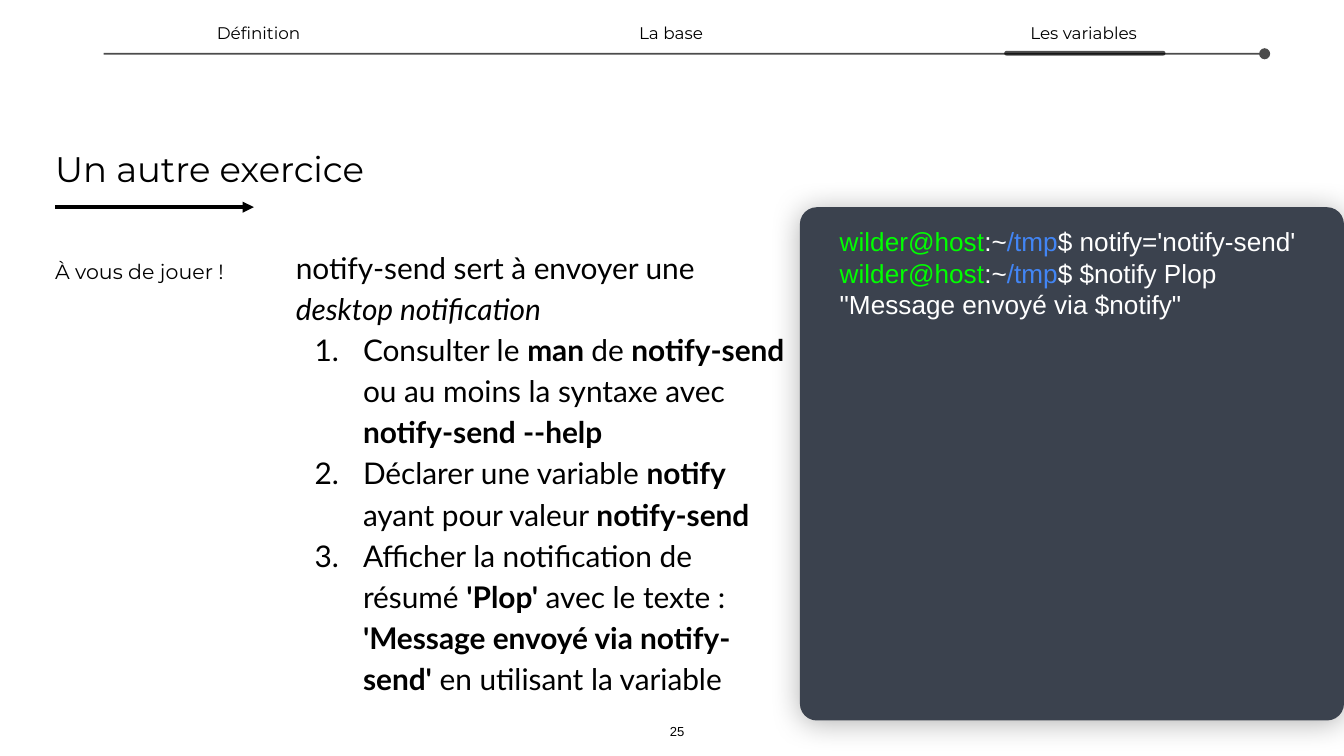
"""Build the shell exercise slide on variables."""
from itertools import cycle

from lxml.etree import SubElement as Sub
from pptx import Presentation
from pptx.dml.color import RGBColor
from pptx.enum.shapes import MSO_CONNECTOR as Conn, MSO_SHAPE as Kind
from pptx.enum.text import MSO_ANCHOR as Anchor, MSO_AUTO_SIZE as Fit, PP_ALIGN as Align
from pptx.oxml.ns import qn
from pptx.util import Pt

BLACK, WHITE, SLATE = "000000", "FFFFFF", "3B424E"
GREEN, BLUE = "00FF00", "4285F4"
MONT, LATO, ARIAL = "Montserrat", "Lato", "Arial"


def tint(fmt, code):
    fmt.rgb = RGBColor.from_string(code)


def fade(node, share):
    for clr in node.iter(qn("a:srgbClr")):
        Sub(clr, qn("a:alpha"), val=str(share * 1000))


def apply(item, vals):
    for name, val in vals.items():
        setattr(item, name, val)


class Deck:
    def __init__(self, wide, high):
        self.prs = Presentation()
        apply(self.prs, {"slide_width": Pt(wide), "slide_height": Pt(high)})
        self.slide = self.prs.slides.add_slide(self.prs.slide_layouts[5])
        self.shapes = self.slide.shapes
        back = self.slide.background.fill
        back.solid()
        tint(back.fore_color, WHITE)

    def frame(self, shape, pads, anchor=Anchor.MIDDLE):
        left, top, right, base = map(Pt, pads)
        apply(shape.text_frame, {
            "word_wrap": True, "auto_size": Fit.NONE, "vertical_anchor": anchor,
            "margin_left": left, "margin_top": top,
            "margin_right": right, "margin_bottom": base})
        return shape.text_frame

    def fill(self, para, runs, size, face, align=Align.LEFT, space=1.0):
        apply(para, {"alignment": align, "line_spacing": space})
        for text, look in runs:
            run = para.add_run()
            run.text = text
            vals = {"size": Pt(size), "name": face, "bold": False, "italic": False}
            code = look.get("code", BLACK)
            apply(run.font, vals | {k: v for k, v in look.items() if k != "code"})
            tint(run.font.color, code)

    def title(self, text, box, size):
        shape = self.shapes.title
        apply(shape, dict(zip(("left", "top", "width", "height"), map(Pt, box))))
        frame = self.frame(shape, [1.5] * 4)
        self.fill(frame.paragraphs[0], [(text, {})], size, MONT)

    def label(self, text, box, size, face=MONT, align=Align.CENTER, anchor=Anchor.MIDDLE):
        shape = self.shapes.add_textbox(*map(Pt, box))
        frame = self.frame(shape, [1.5] * 4, anchor)
        self.fill(frame.paragraphs[0], [(text, {})], size, face, align)

    def steps(self, intro, items, box, size):
        frame = self.frame(self.shapes.add_textbox(*map(Pt, box)), [3] * 4)
        self.fill(frame.paragraphs[0], intro, size, LATO, space=1.15)
        for item in items:
            para = frame.add_paragraph()
            runs = [(text, {"bold": bold}) for text, bold in zip(item, cycle((False, True)))]
            self.fill(para, runs, size, LATO, space=1.15)
            props = para._p.get_or_add_pPr()
            props.set("marL", str(Pt(36)))
            props.set("indent", str(Pt(-26)))
            Sub(Sub(props, qn("a:buClr")), qn("a:srgbClr"), val=BLACK)
            Sub(props, qn("a:buFont"), typeface=LATO)
            Sub(props, qn("a:buAutoNum"), type="arabicPeriod")

    def line(self, left, right, y, width, tail, share=100):
        rule = self.shapes.add_connector(Conn.STRAIGHT, *map(Pt, (left, y, right, y)))
        rule.line.width = Pt(width)
        rule.line.fill.solid()
        tint(rule.line.color, BLACK)
        props = rule._element.spPr
        fade(props, share)
        Sub(props.find(qn("a:ln")), qn("a:tailEnd"), type=tail)
        Sub(props, qn("a:effectLst"))

    def panel(self, box, code, bend, share=100):
        shape = self.shapes.add_shape(Kind.ROUNDED_RECTANGLE, *map(Pt, box))
        shape.adjustments[0] = bend
        shape.shadow.inherit = False
        shape.fill.solid()
        tint(shape.fill.fore_color, code)
        shape.line.fill.background()
        fade(shape._element.spPr, share)
        return shape

    def shell(self, calls, box, size):
        shape = self.panel(box, SLATE, 0.033)
        glow = Sub(shape._element.spPr.find(qn("a:effectLst")), qn("a:outerShdw"),
                   blurRad=str(Pt(15.8)), dist=str(Pt(1.5)), dir="5400000",
                   algn="bl", rotWithShape="0")
        Sub(glow, qn("a:srgbClr"), val=BLACK)
        fade(glow, 30)
        frame = self.frame(shape, (18.7, 7.2, 7.2, 7.2), Anchor.TOP)
        for num, call in enumerate(calls):
            para = frame.add_paragraph() if num else frame.paragraphs[0]
            parts = (("wilder@host", GREEN), (":~", WHITE), ("/tmp", BLUE), ("$ " + call, WHITE))
            self.fill(para, [(text, {"code": code}) for text, code in parts], size, ARIAL)


def main():
    deck = Deck(720, 405)
    deck.title("Un autre exercice", (28, 77, 404, 26), 19)
    deck.line(29.5, 136, 111, 2, "triangle")
    deck.label("À vous de jouer !", (28, 137, 104, 16.5), 11, align=Align.LEFT)
    deck.steps(
        [("notify-send sert à envoyer une ", {}), ("desktop notification", {"italic": True})],
        [("Consulter le ", "man ", "de ", "notify-send",
          " ou au moins la syntaxe avec ", "notify-send --help"),
         ("Déclarer une variable ", "notify ", "ayant pour valeur ", "notify-send"),
         ("Afficher la notification de résumé ", "'Plop'", " avec le texte : ",
          "'Message envoyé via notify-send'", " en utilisant la variable")],
        (155.5, 114.5, 273.6, 275), 16)
    deck.label("25", (354.5, 386, 16.5, 11.5), 7, ARIAL, anchor=Anchor.BOTTOM)
    deck.line(55.5, 677.5, 28.8, 1, "oval", 70)
    for num, text in enumerate(("Définition", "La base", "Les variables")):
        deck.label(text, (82 + 221 * num, 11, 113, 13.5), 9)
    deck.panel((538, 27.3, 86.4, 2.5), BLACK, 0.5, 69)
    deck.shell(("notify='notify-send'", '$notify Plop "Message envoyé via $notify"'),
               (428.5, 111, 291.5, 275), 14)
    deck.prs.save("out.pptx")


if __name__ == "__main__":
    main()
